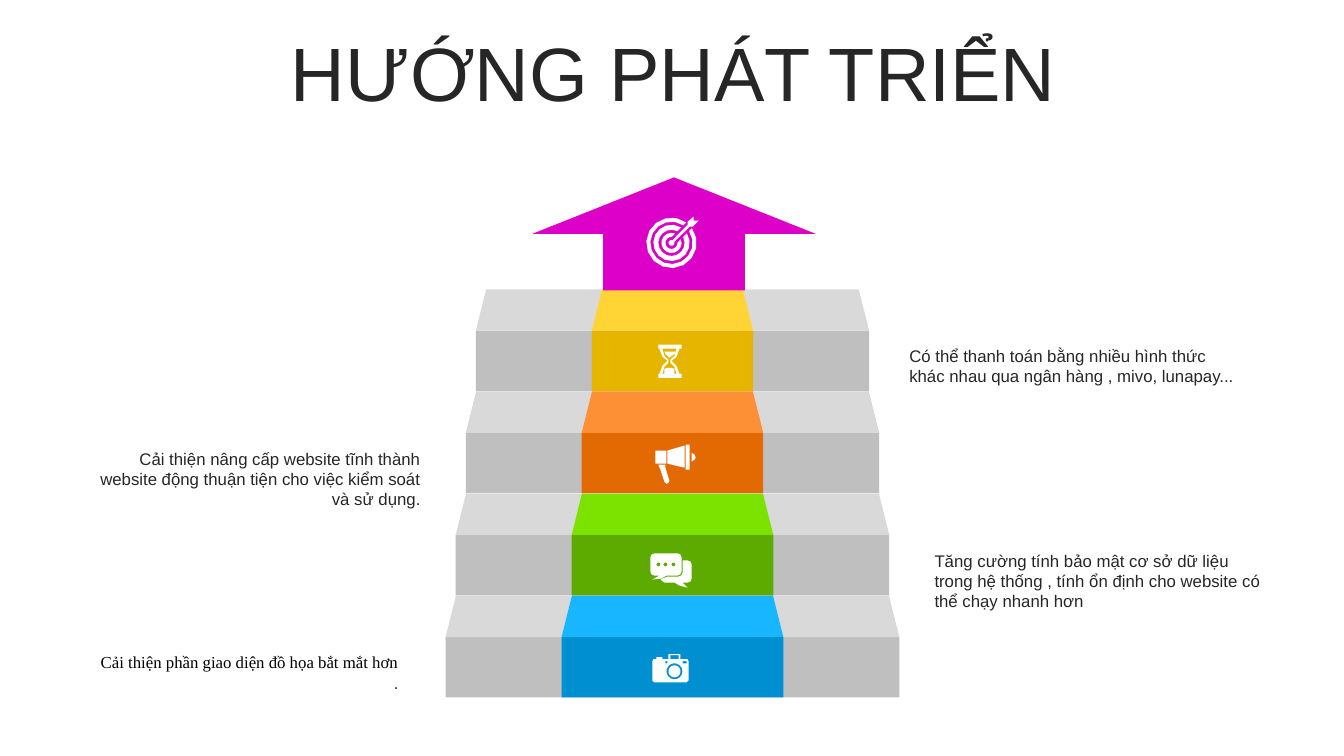
from math import asin, cos, degrees, radians, sin

from pptx import Presentation, util as u
from pptx.dml.color import RGBColor
from pptx.enum import shapes as kinds, text

MID = 6.67
WHITE, INK, BLACK = "FFFFFF", "262626", "000000"
SANS, SERIF = "Arial", "Times New Roman"
LEFT, RIGHT, CENTER = text.PP_ALIGN.LEFT, text.PP_ALIGN.RIGHT, text.PP_ALIGN.CENTER

TITLE = "HƯỚNG PHÁT TRIỂN"
# front and tread colours, from the bottom step up
CARPET = [("008FD0", "17B6FF"), ("5DAA00", "7CE200"),
          ("E36902", "FD9034"), ("E6B500", "FFD434")]
STONE = [("BFBFBF", "D9D9D9")] * 4
# left, top, height, alignment, lines of (text, font, colour)
NOTES = [
    (0.53, 6.42, 0.5, RIGHT,
     [("Cải thiện phần giao diện đồ họa bắt mắt hơn", SERIF, BLACK), (".", SANS, INK)]),
    (0.75, 4.4, 0.71, RIGHT,
     [("Cải thiện nâng cấp website tĩnh thành website động thuận tiện "
       "cho việc kiểm soát và sử dụng.", SANS, INK)]),
    (9.17, 5.41, 0.71, LEFT,
     [("Tăng cường tính bảo mật cơ sở dữ liệu trong hệ thống , "
       "tính ổn định cho website có thể chạy nhanh hơn", SANS, INK)]),
    (8.92, 3.38, 0.5, LEFT,
     [("Có thể thanh toán bằng nhiều hình thức khác nhau qua ngân hàng , "
       "mivo, lunapay...", SANS, INK)]),
]


def arc(x, y, r, start=0, end=360):
    """Points on a circle; angles in degrees, clockwise from the right."""
    count = max(1, round(abs(end - start) / (24 if r > 0.05 else 45)))
    turns = [radians(start + (end - start) * i / count) for i in range(count + 1)]
    return [(x + r * cos(t), y + r * sin(t)) for t in turns]


def box(l, t, r, b):
    return [(l, t), (r, t), (r, b), (l, b)]


def ring(x, y, outer, inner):
    """Ring with a slot of even width towards the upper right."""
    a, b = (degrees(asin(0.04 / r)) for r in (outer, inner))
    return arc(x, y, outer, a - 45, 315 - a) + arc(x, y, inner, 315 - b, b - 45)


def mirror(side, x):
    return side + [(2 * x - px, y) for px, y in reversed(side)]


TARGET = [ring(6.66, 2.41, r, s) for r, s in [(0.25, 0.21), (0.18, 0.13), (0.1, 0.06)]] + [
    [(6.82, 2.23), (6.82, 2.2), (6.88, 2.15), (6.88, 2.19), (6.93, 2.19),
     (6.87, 2.25), (6.84, 2.25)] + arc(6.66, 2.41, 0.03, -20, 290)]

GLASS = [
    box(6.53, 3.42, 6.76, 3.46),
    box(6.53, 3.71, 6.76, 3.75),
    mirror([(6.54, 3.46), (6.57, 3.54), (6.62, 3.58), (6.57, 3.63), (6.54, 3.71)], 6.64),
    mirror([(6.57, 3.46), (6.59, 3.53), (6.63, 3.57), (6.63, 3.6),
            (6.59, 3.64), (6.57, 3.71)], 6.64),
    [(6.59, 3.49), (6.7, 3.49), (6.69, 3.51), (6.64, 3.55), (6.6, 3.51)],
    mirror([(6.62, 3.65), (6.59, 3.66), (6.59, 3.71)], 6.64),
]

HORN = [
    box(6.5, 4.47, 6.61, 4.6),
    [(6.79, 4.42), (6.79, 4.64), (6.62, 4.6), (6.62, 4.47)],
    box(6.8, 4.41, 6.84, 4.66),
    [(6.86, 4.49), (6.89, 4.51), (6.9, 4.54), (6.89, 4.56), (6.86, 4.58)],
    [(6.53, 4.61), (6.6, 4.61), (6.6, 4.64), (6.64, 4.77),
     (6.63, 4.79), (6.61, 4.8), (6.59, 4.78), (6.55, 4.66)],
]

CHAT = [arc(x, 5.6, 0.02) for x in (6.53, 6.6, 6.68)] + [
    arc(6.49, 5.53, 0.04, 180, 270) + arc(6.72, 5.53, 0.04, 270, 360)
    + arc(6.72, 5.67, 0.04, 0, 90)
    + [(6.61, 5.71), (6.56, 5.74), (6.47, 5.75), (6.54, 5.71)]
    + arc(6.49, 5.67, 0.04, 90, 180),
    [(6.77, 5.56)] + arc(6.82, 5.6, 0.04, 270, 360) + arc(6.82, 5.74, 0.04, 0, 90)
    + [(6.77, 5.78), (6.82, 5.83), (6.74, 5.81), (6.69, 5.78), (6.59, 5.78),
       (6.55, 5.75), (6.62, 5.72)] + arc(6.73, 5.68, 0.04, 90, 0),
]

CAMERA = [
    arc(6.69, 6.66, 0.08), arc(6.69, 6.66, 0.06),
    box(6.6, 6.56, 6.62, 6.58), box(6.77, 6.56, 6.81, 6.58),
    box(6.65, 6.5, 6.73, 6.54),
    [(6.47, 6.56), (6.48, 6.54), (6.51, 6.54), (6.51, 6.52), (6.57, 6.52),
     (6.57, 6.54), (6.63, 6.54), (6.63, 6.49), (6.75, 6.49), (6.75, 6.54),
     (6.82, 6.54), (6.83, 6.56), (6.83, 6.75), (6.81, 6.77), (6.49, 6.77), (6.47, 6.75)],
]


def rgb(code):
    return RGBColor.from_string(code)


def paint(shape, color):
    shape.shadow.inherit = False
    shape.fill.solid()
    shape.fill.fore_color.rgb = rgb(color)
    shape.line.fill.background()


def add(pool, kind, l, t, w, h, color):
    paint(pool.add_shape(kind, *map(u.Inches, (l, t, w, h))), color)


def stairs(pool, width, colors):
    """Four steps, each narrower than the one below it."""
    for i, (front, tread) in enumerate(colors):
        w, top = width - 0.2 * i, 6.32 - 3.04 / 3 * i
        add(pool, kinds.MSO_SHAPE.RECTANGLE, MID - w / 2, top, w, 0.6, front)
        add(pool, kinds.MSO_SHAPE.TRAPEZOID, MID - w / 2, top - 0.41, w, 0.41, tread)


def icon(pool, loops):
    loops = [[(u.Inches(x), u.Inches(y)) for x, y in loop] for loop in loops]
    pen = pool.build_freeform(*loops[0][0], scale=1.0)
    pen.add_line_segments(loops[0][1:], close=True)
    for loop in loops[1:]:
        pen.move_to(*loop[0])
        pen.add_line_segments(loop[1:], close=True)
    paint(pen.convert_to_shape(), WHITE)


def write(pool, l, t, w, h, align, lines, size):
    frame = pool.add_textbox(*map(u.Inches, (l, t, w, h))).text_frame
    frame.word_wrap = True
    frame.text = "\n".join(line[0] for line in lines)
    for para, (_, font, color) in zip(frame.paragraphs, lines):
        para.alignment = align
        for run in para.runs:
            run.font.name, run.font.size = font, u.Pt(size)
            run.font.color.rgb = rgb(color)
    return frame


def main():
    deck = Presentation()
    deck.slide_width, deck.slide_height = u.Inches(13.33), u.Inches(7.5)
    pool = deck.slides.add_slide(deck.slide_layouts[6]).shapes

    head = write(pool, 0.35, 0.37, 12.66, 0.79, CENTER, [(TITLE, SANS, INK)], 54)
    head.vertical_anchor = text.MSO_ANCHOR.MIDDLE
    head.paragraphs[0].line_spacing = 0.9

    for width, colors in ((4.5, STONE), (2.2, CARPET)):
        stairs(pool.add_group_shape().shapes, width, colors)
    add(pool, kinds.MSO_SHAPE.UP_ARROW, 5.28, 1.76, 2.81, 1.12, "DC00C8")
    for loops in (CHAT, GLASS, HORN, CAMERA, TARGET):
        icon(pool, loops)
    for l, t, h, align, lines in NOTES:
        write(pool, l, t, 3.52, h, align, lines, 12)
    deck.save("out.pptx")


if __name__ == "__main__":
    main()
